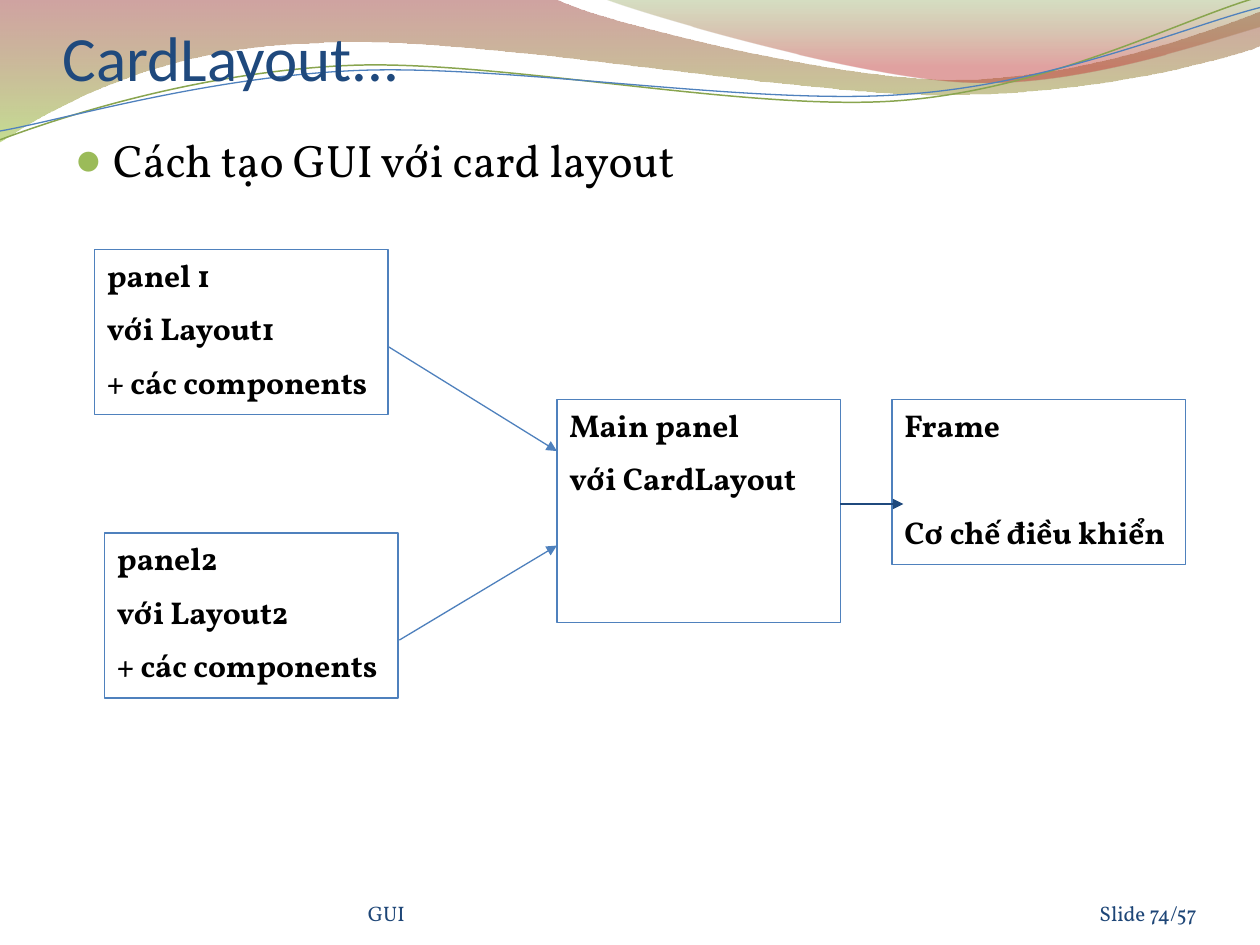
from lxml import etree
from pptx import Presentation
from pptx.dml.color import RGBColor
from pptx.enum.shapes import MSO_CONNECTOR, MSO_SHAPE
from pptx.enum.text import MSO_ANCHOR, PP_ALIGN
from pptx.oxml.ns import qn
from pptx.util import Inches, Pt

RECTANGLE, STRAIGHT = MSO_SHAPE.RECTANGLE, MSO_CONNECTOR.STRAIGHT
TOP, BOTTOM = MSO_ANCHOR.TOP, MSO_ANCHOR.BOTTOM
LEFT, RIGHT = PP_ALIGN.LEFT, PP_ALIGN.RIGHT

COLORS = {
    "title": "1F497D", "footer": "1E4677", "text": "000000", "bullet": "9BBB59",
    "box": "FFFFFF", "blue": "4F81BD", "green": "89A54F",
    "maroon": "973330", "lime": "95C238", "olive": "769537", "red": "BE3330",
}
SERIF, SANS = "Vollkorn", "Calibri"
LINE_WIDTH = 0.75
LINE_GAP = 9
EMPTY_LINE = 30.5  # one 18 pt line and its gap

# Bands: start point, then lines (one point) and Bézier curves (three points)
BANDS = [
    {"path": [(0, 0), [(4.4, -0.01)],
              [(4.76, 0.17), (6.64, 0.63), (7.58, 0.63)],
              [(8.53, 0.63), (9.58, 0.26), (10, 0.09)], [(10.01, 0.36)],
              [(9.83, 0.44), (8.7, 0.76), (7.46, 0.75)],
              [(6.22, 0.75), (3.82, 0.28), (2.57, 0.34)],
              [(1.29, 0.36), (0.46, 0.83), (-0.01, 1.13)]],
     "stops": [(0, "maroon", 45), (100, "lime", 55)]},
    {"path": [(4.79, -0.01),
              [(5.09, 0.11), (6.82, 0.62), (7.69, 0.65)],
              [(8.56, 0.69), (9.61, 0.32), (10, 0.21)], [(10, 0)]],
     "stops": [(0, "olive", 30), (80, "red", 45)]},
]
WAVES = [
    {"path": [(0, 1.11), [(0.48, 0.93), (1.58, 0.57), (2.77, 0.52)],
              [(3.95, 0.47), (5.93, 0.89), (7.13, 0.8)],
              [(8.33, 0.71), (9.38, 0.15), (9.98, -0.02)]],
     "color": "green", "width": 0.85},
    {"path": [(0, 1.04), [(0.47, 0.96), (1.64, 0.61), (2.83, 0.56)],
              [(4.03, 0.51), (5.97, 0.84), (7.17, 0.75)],
              [(8.36, 0.67), (9.41, 0.21), (10, 0.06)]],
     "color": "blue", "width": 0.75},
]

# Panels: place, lines of text, space before each line
PANELS = [
    ((7.08, 3.17, 2.33, 1.31), ["Frame", "Cơ chế điều khiển"], LINE_GAP + EMPTY_LINE),
    ((4.42, 3.17, 2.25, 1.77), ["Main panel", "với CardLayout"], LINE_GAP),
    ((0.75, 1.98, 2.33, 1.31), ["panel 1", "với Layout1", "+ các components"], LINE_GAP),
    ((0.83, 4.23, 2.33, 1.31), ["panel2", "với Layout2", "+ các components"], LINE_GAP),
]
ARROWS = [
    ((3.08, 2.75), (4.42, 3.58), "blue"),
    ((3.17, 5.08), (4.42, 4.33), "blue"),
    ((6.67, 4), (7.17, 4), "title"),
]


def rgb(name):
    return RGBColor.from_string(COLORS[name])


def add_xml(parent, tag, **attributes):
    return etree.SubElement(parent, qn(tag), {key: str(value) for key, value in attributes.items()})


def write(shape, lines, size=18, font=SERIF, color="text", bold=False, align=LEFT,
          anchor=TOP, insets=(0.1, 0.05, 0.1, 0.05), gap=0, bullet=None):
    frame = shape.text_frame
    frame.word_wrap = True
    frame.vertical_anchor = anchor
    frame.margin_left, frame.margin_top, frame.margin_right, frame.margin_bottom = map(Inches, insets)
    for index, line in enumerate(lines):
        para = frame.add_paragraph() if index else frame.paragraphs[0]
        para.alignment = align
        para.space_before = Pt(gap if index else 0)
        if bullet:
            properties = para._p.get_or_add_pPr()
            properties.set("marL", str(Inches(0.3)))
            properties.set("indent", str(Inches(-0.3)))
            add_xml(add_xml(properties, "a:buClr"), "a:srgbClr", val=COLORS["bullet"])
            add_xml(properties, "a:buSzPct", val=95000)
            add_xml(properties, "a:buFont", typeface=SANS)
            add_xml(properties, "a:buChar", char=bullet)
        span = para.add_run()
        span.text = line
        span.font.size, span.font.name, span.font.bold = Pt(size), font, bold
        span.font.color.rgb = rgb(color)


def add_text(slide, place, text, **style):
    write(slide.shapes.add_textbox(*map(Inches, place)), [text], **style)


def add_curve(slide, path, close):
    start, *parts = path
    ends = [tuple(map(Inches, part[-1])) for part in parts]
    builder = slide.shapes.build_freeform(*map(Inches, start))
    builder.add_line_segments(ends, close=close)
    shape = builder.convert_to_shape()
    shape.shadow.inherit = False
    # Bend the segments that have control points
    segments = list(shape._element.iter(qn("a:lnTo")))
    for segment, part in zip(segments, parts):
        if len(part) == 3:
            segment.tag = qn("a:cubicBezTo")
            for index, (x, y) in enumerate(part[:2]):
                control = add_xml(segment, "a:pt", x=Inches(x) - shape.left, y=Inches(y) - shape.top)
                segment.insert(index, control)
    return shape


def fill_gradient(shape, stops):
    shape.fill.gradient()
    gradient = shape._element.spPr.find(qn("a:gradFill"))
    for child in list(gradient):
        gradient.remove(child)
    stop_list = add_xml(gradient, "a:gsLst")
    for position, color, opacity in stops:
        stop = add_xml(stop_list, "a:gs", pos=position * 1000)
        add_xml(add_xml(stop, "a:srgbClr", val=COLORS[color]), "a:alpha", val=opacity * 1000)
    add_xml(gradient, "a:lin", ang=90 * 60000, scaled=0)


def set_line(shape, color, width=LINE_WIDTH):
    shape.line.color.rgb = rgb(color)
    shape.line.width = Pt(width)


def main():
    deck = Presentation()
    deck.slide_width, deck.slide_height = Inches(10), Inches(7.5)
    slide = deck.slides.add_slide(deck.slide_layouts[6])

    # Header waves
    for band in BANDS:
        shape = add_curve(slide, band["path"], close=True)
        fill_gradient(shape, band["stops"])
        shape.line.fill.background()
    for wave in WAVES:
        shape = add_curve(slide, wave["path"], close=False)
        shape.fill.background()
        set_line(shape, wave["color"], wave["width"])

    # Footer, title and body
    footer = {"size": 12, "color": "footer", "anchor": BOTTOM, "insets": (0, 0, 0, 0)}
    add_text(slide, (2.92, 6.95, 3.67, 0.4), "GUI", **footer)
    add_text(slide, (8.67, 6.95, 0.83, 0.4), "Slide 74/57", align=RIGHT, **footer)
    add_text(slide, (0.5, 0.3, 9, 0.45), "CardLayout...", size=36, font=SANS,
             color="title", anchor=BOTTOM, insets=(0, 0.05, 0, 0))
    add_text(slide, (0.5, 1, 9, 0.67), "Cách tạo GUI với card layout", size=26, bullet="●")

    # Panels
    for place, lines, gap in PANELS:
        box = slide.shapes.add_shape(RECTANGLE, *map(Inches, place))
        box.shadow.inherit = False
        box.fill.solid()
        box.fill.fore_color.rgb = rgb("box")
        set_line(box, "blue")
        write(box, lines, bold=True, gap=gap)

    # Arrows
    for start, end, color in ARROWS:
        arrow = slide.shapes.add_connector(STRAIGHT, *map(Inches, start + end))
        set_line(arrow, color)
        add_xml(arrow.line._get_or_add_ln(), "a:tailEnd", type="triangle")
        add_xml(arrow._element.spPr, "a:effectLst")

    deck.save("out.pptx")


if __name__ == "__main__":
    main()
